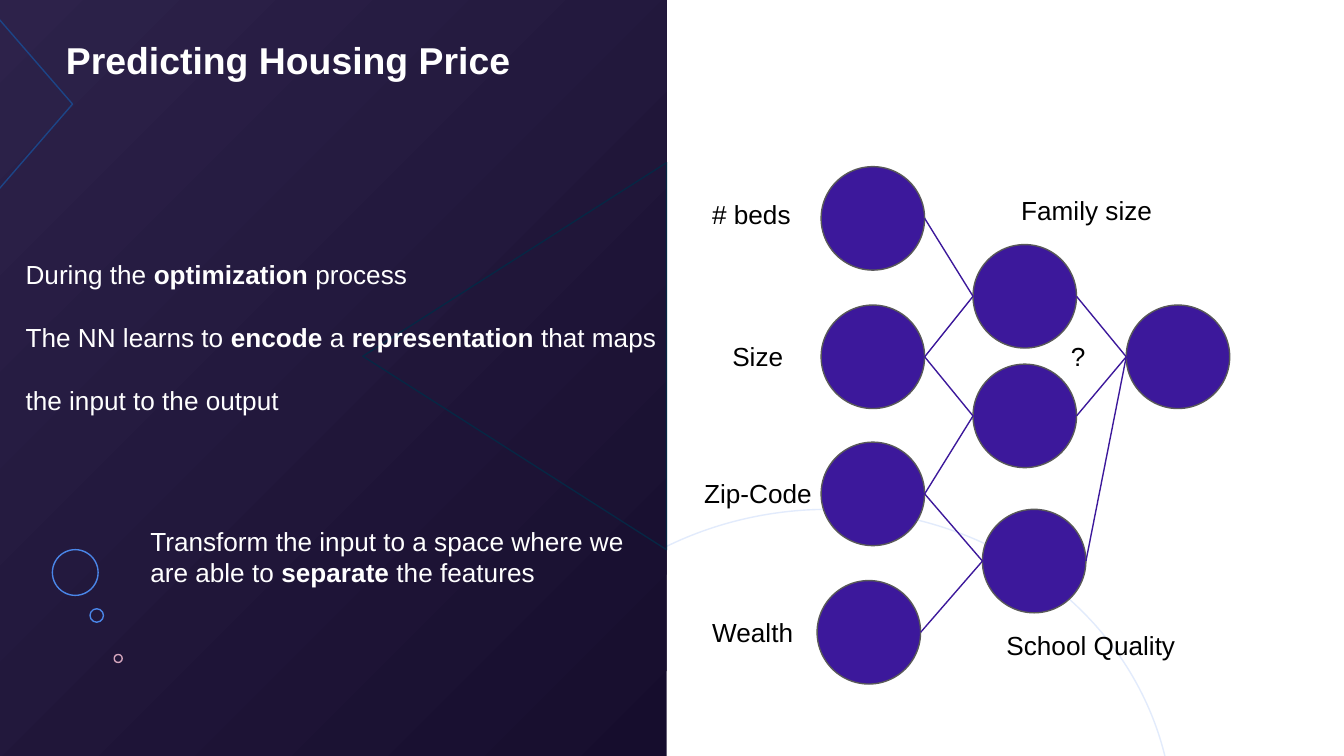
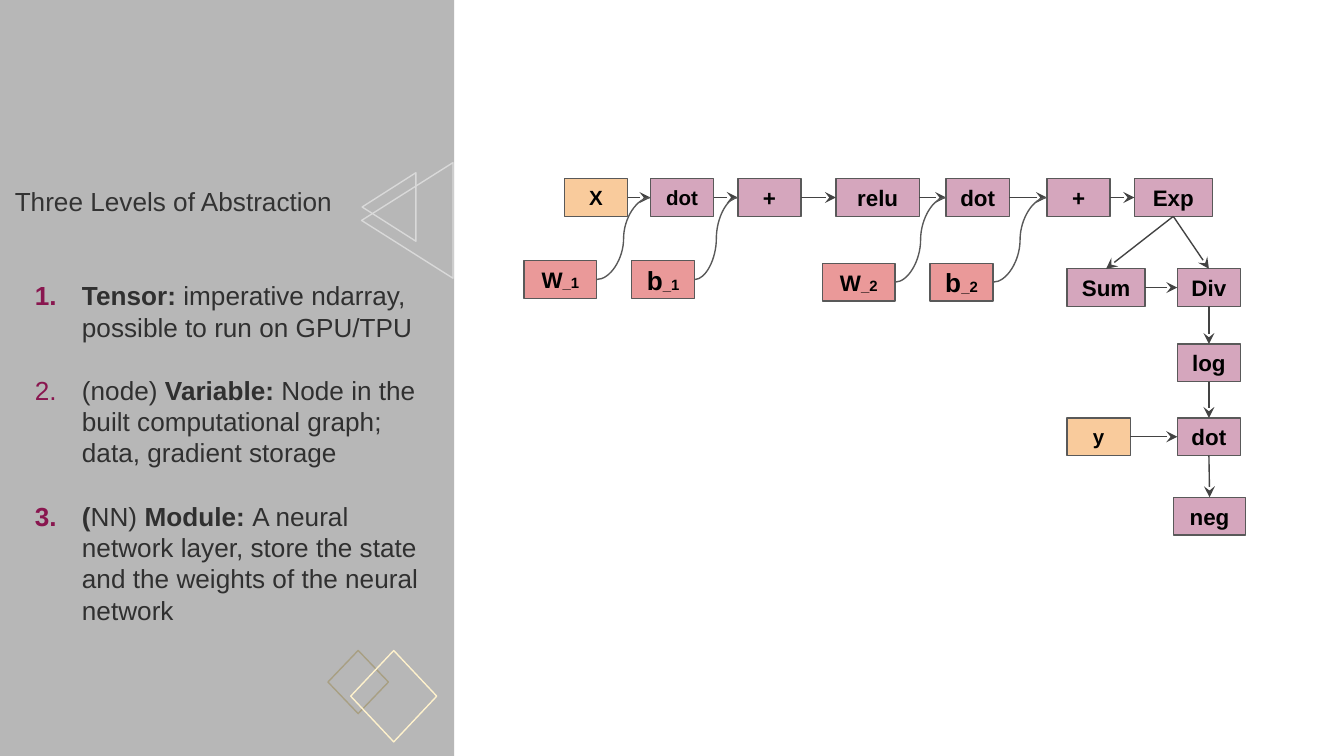
"""Build two slides about neural networks: housing prices and a computational graph."""
from lxml.etree import SubElement
from pptx import Presentation
from pptx.dml.color import RGBColor
from pptx.enum.shapes import MSO_CONNECTOR as Connector, MSO_SHAPE as Shape
from pptx.enum.text import MSO_ANCHOR as Anchor, MSO_AUTO_SIZE as AutoSize, PP_ALIGN as Align
from pptx.oxml.ns import qn
from pptx.util import Pt

PX = 9144
SLIDE_WIDTH = 1000
FONT = "Arial"
LINE_WIDTH = 0.75
BODY_SIZE = 14
BLANK_LINE = 17
TOP, LEFT, BOTTOM, RIGHT = range(4)
COLORS = {
    "white": "FFFFFF", "black": "000000", "ink": "303030", "heading": "333333",
    "outline": "595959", "arrow": "434343", "number": "89164F",
    "night_light": "2D224A", "night_dark": "160D2D", "gray": "B7B7B7",
    "neuron": "3C189B", "pale_blue": "E2EBFC", "navy": "1C4587", "teal": "062744",
    "blue": "4A86E8", "silver": "D9D9D9", "khaki": "A89F83", "cream": "FFF2CC",
    "input": "F9CB9C", "weight": "EA9999", "operation": "D5A6BD",
}


def color(name):
    return RGBColor.from_string(COLORS[name])


class Deck:
    """Hold the style and the current slide, and draw each kind of element."""

    def __init__(self):
        self.presentation = Presentation()
        self.presentation.slide_width = SLIDE_WIDTH * PX
        self.presentation.slide_height = SLIDE_WIDTH * PX * 9 // 16
        self.slide = None

    def new_slide(self):
        self.slide = self.presentation.slides.add_slide(self.presentation.slide_layouts[1])

    def shape(self, kind, left, top, width, height, fill=None, line=None, rotation=0):
        shape = self.slide.shapes.add_shape(kind, left * PX, top * PX, width * PX, height * PX)
        shape.shadow.inherit = False
        shape.rotation = rotation
        if fill:
            shape.fill.solid()
            shape.fill.fore_color.rgb = color(fill)
        else:
            shape.fill.background()
        if line:
            shape.line.color.rgb = color(line)
            shape.line.width = Pt(LINE_WIDTH)
        else:
            shape.line.fill.background()
        return shape

    def panel(self, width, fill, dark_fill=None):
        panel = self.shape(Shape.RECTANGLE, -6, -4, width, 575, fill)
        if dark_fill:
            panel.fill.gradient()
            for stop, name in zip(panel.fill.gradient_stops, (fill, dark_fill)):
                stop.color.rgb = color(name)
            gradient = panel.element.spPr.find(qn("a:gradFill"))
            gradient.remove(gradient.find(qn("a:lin")))
            focus = SubElement(gradient, qn("a:path"), path="circle")
            SubElement(focus, qn("a:fillToRect"), r="100000", b="100000")

    def add_text(self, paragraph, text, size, ink):
        """Add text in which ** switches bold on and off."""
        font = paragraph.font
        font.name = FONT
        font.size = Pt(size)
        font.color.rgb = color(ink)
        for index, piece in enumerate(text.split("**")):
            if piece:
                run = paragraph.add_run()
                run.text = piece
                run.font.bold = index % 2 == 1

    def prepare(self, shape, anchor=Anchor.TOP):
        frame = shape.text_frame
        frame.word_wrap = True
        frame.auto_size = AutoSize.NONE
        frame.vertical_anchor = anchor
        frame.margin_left = frame.margin_right = 10 * PX
        frame.margin_top = frame.margin_bottom = 10 * PX
        return frame

    def placeholder(self, index, left, top, width, height):
        holder = self.slide.placeholders[index]
        holder.left, holder.top = left * PX, top * PX
        holder.width, holder.height = width * PX, height * PX
        self.slide.shapes.element.append(holder.element)
        return self.prepare(holder)

    def title(self, text, left, top, width, height, size, ink):
        paragraph = self.placeholder(0, left, top, width, height).paragraphs[0]
        paragraph.alignment = Align.LEFT
        self.add_text(paragraph, text, size, ink)

    def body(self, items, left, top, width, height, ink, numbered=False):
        frame = self.placeholder(1, left, top, width, height)
        for index, item in enumerate(items):
            paragraph = frame.add_paragraph() if index else frame.paragraphs[0]
            paragraph.space_before = Pt(BLANK_LINE if index else 0)
            properties = paragraph._p.get_or_add_pPr()
            properties.set("marL", str(50 * PX if numbered else 0))
            properties.set("indent", str(-35 * PX if numbered else 0))
            if numbered:
                bullet_color = SubElement(properties, qn("a:buClr"))
                SubElement(bullet_color, qn("a:srgbClr"), val=COLORS["number"])
                SubElement(properties, qn("a:buFont"), typeface=FONT)
                SubElement(properties, qn("a:buAutoNum"), type="arabicPeriod")
            else:
                SubElement(properties, qn("a:buNone"))
            self.add_text(paragraph, item, BODY_SIZE, ink)

    def label(self, text, left, top, width, height=44, ink="black"):
        box = self.slide.shapes.add_textbox(left * PX, top * PX, width * PX, height * PX)
        self.add_text(self.prepare(box).paragraphs[0], text, BODY_SIZE, ink)

    def neuron(self, left, top):
        return self.shape(Shape.OVAL, left, top, 77, 77, "neuron", "outline")

    def node(self, text, left, top, width, fill, size, subscript=""):
        node = self.shape(Shape.RECTANGLE, left, top, width, 28, fill, "outline")
        paragraph = self.prepare(node, Anchor.MIDDLE).paragraphs[0]
        paragraph.alignment = Align.CENTER
        self.add_text(paragraph, f"**{text}**", size, "black")
        if subscript:
            run = paragraph.add_run()
            run.text = subscript
            run.font.size = Pt(8)
            run.font.bold = True
        return node

    def connector(self, kind, ink, points=(0, 0, 0, 0)):
        connector = self.slide.shapes.add_connector(kind, *points)
        connector.line.color.rgb = color(ink)
        connector.line.width = Pt(LINE_WIDTH)
        SubElement(connector.element.spPr, qn("a:effectLst"))
        return connector

    def synapse(self, source, target):
        self.connector(Connector.STRAIGHT, "neuron", (
            source.left + source.width, source.top + source.height // 2,
            target.left, target.top + target.height // 2))

    def join(self, source, target, sides=(RIGHT, LEFT), curved=False):
        kind, ink = (Connector.CURVE, "outline") if curved else (Connector.STRAIGHT, "arrow")
        connector = self.connector(kind, ink)
        connector.begin_connect(source, sides[0])
        connector.end_connect(target, sides[1])
        if not curved:
            line = connector.element.spPr.find(qn("a:ln"))
            SubElement(line, qn("a:tailEnd"), type="stealth")


def housing_slide(deck):
    deck.new_slide()
    deck.shape(Shape.OVAL, 360, 379, 513, 470, line="pale_blue")
    deck.panel(502, "night_light", "night_dark")
    deck.shape(Shape.DIAMOND, -87, -4, 141, 163, line="navy")
    deck.title("**Predicting Housing Price**", 39, 18, 557, 54, 20, "white")
    deck.shape(Shape.ISOSCELES_TRIANGLE, 239, 152, 288, 226, line="teal", rotation=270)
    for left, top, diameter, line in (
            (85, 487, 6, "operation"), (39, 409, 34, "blue"), (67, 453, 10, "blue")):
        deck.shape(Shape.OVAL, left, top, diameter, diameter, line=line)

    places = {
        "beds": (611, 124), "size": (611, 227), "zip": (611, 329), "wealth": (608, 432),
        "family": (724, 182), "middle": (724, 271), "school": (731, 379),
        "price": (838, 227),
    }
    neurons = {name: deck.neuron(*place) for name, place in places.items()}
    for source, target in (
            ("beds", "family"), ("size", "family"), ("size", "middle"), ("zip", "middle"),
            ("zip", "school"), ("wealth", "school"),
            ("family", "price"), ("middle", "price"), ("school", "price")):
        deck.synapse(neurons[source], neurons[target])

    deck.body((
        "During the **optimization** process",
        "The NN learns to **encode** a **representation** that maps",
        "the input to the output",
    ), 9, 182, 513, 138, "white")
    for text, left, top, width in (
            ("# beds", 520, 138, 105), ("Size", 535, 243, 105), ("Zip-Code", 514, 345, 105),
            ("Wealth", 520, 449, 105), ("Family size", 750, 135, 160), ("?", 787, 243, 71),
            ("School Quality", 739, 458, 210)):
        deck.label(text, left, top, width)
    deck.label("Transform the input to a space where we are able to **separate** the features",
               102, 381, 377, 67, "white")


def abstraction_slide(deck):
    deck.new_slide()
    deck.panel(344, "gray")
    for left, top, width, height in ((264, 134, 51, 40), (260, 130, 86, 68)):
        deck.shape(Shape.ISOSCELES_TRIANGLE, left, top, width, height,
                   line="silver", rotation=270)
    deck.shape(Shape.DIAMOND, 244, 484, 45, 47, line="khaki")
    deck.shape(Shape.DIAMOND, 261, 484, 64, 68, line="cream")
    deck.title("Three Levels of Abstraction", 1, 128, 328, 44, BODY_SIZE, "heading")
    deck.body((
        "**Tensor: **imperative ndarray, possible to run on GPU/TPU",
        "(node) **Variable: **Node in the built computational graph; data, gradient storage",
        "**(**NN) **Module: **A neural network layer, store the state and the weights"
        " of the neural network",
    ), 1, 198, 328, 280, "ink", numbered=True)

    places = {
        "x": ("X", 420, 133, 47, "input", 11),
        "dot_1": ("dot", 484, 133, 47, "operation", 11),
        "plus_1": ("+", 549, 133, 47, "operation", 12),
        "relu": ("relu", 622, 133, 62, "operation", 12),
        "dot_2": ("dot", 704, 133, 47, "operation", 12),
        "plus_2": ("+", 779, 133, 47, "operation", 12),
        "exp": ("Exp", 844, 133, 58, "operation", 12),
        "w_1": ("W", 390, 194, 54, "weight", 12, "_1"),
        "b_1": ("b", 470, 194, 47, "weight", 14, "_1"),
        "w_2": ("W", 612, 196, 54, "weight", 12, "_2"),
        "b_2": ("b", 692, 196, 47, "weight", 14, "_2"),
        "sum": ("Sum", 794, 200, 58, "operation", 12),
        "div": ("Div", 876, 200, 47, "operation", 12),
        "log": ("log", 876, 256, 47, "operation", 12),
        "y": ("y", 794, 311, 47, "input", 11),
        "dot_3": ("dot", 876, 311, 47, "operation", 12),
        "neg": ("neg", 873, 370, 54, "operation", 12),
    }
    nodes = {name: deck.node(*place) for name, place in places.items()}
    chain = ("x", "dot_1", "plus_1", "relu", "dot_2", "plus_2", "exp")
    for source, target in (*zip(chain, chain[1:]), ("sum", "div"), ("y", "dot_3")):
        deck.join(nodes[source], nodes[target])
    column = ("exp", "div", "log", "dot_3", "neg")
    for source, target in (("exp", "sum"), *zip(column, column[1:])):
        deck.join(nodes[source], nodes[target], (BOTTOM, TOP))
    for source, target in (
            ("w_1", "dot_1"), ("b_1", "plus_1"), ("w_2", "dot_2"), ("b_2", "plus_2")):
        deck.join(nodes[source], nodes[target], curved=True)


def main():
    deck = Deck()
    housing_slide(deck)
    abstraction_slide(deck)
    deck.presentation.save("out.pptx")


if __name__ == "__main__":
    main()
